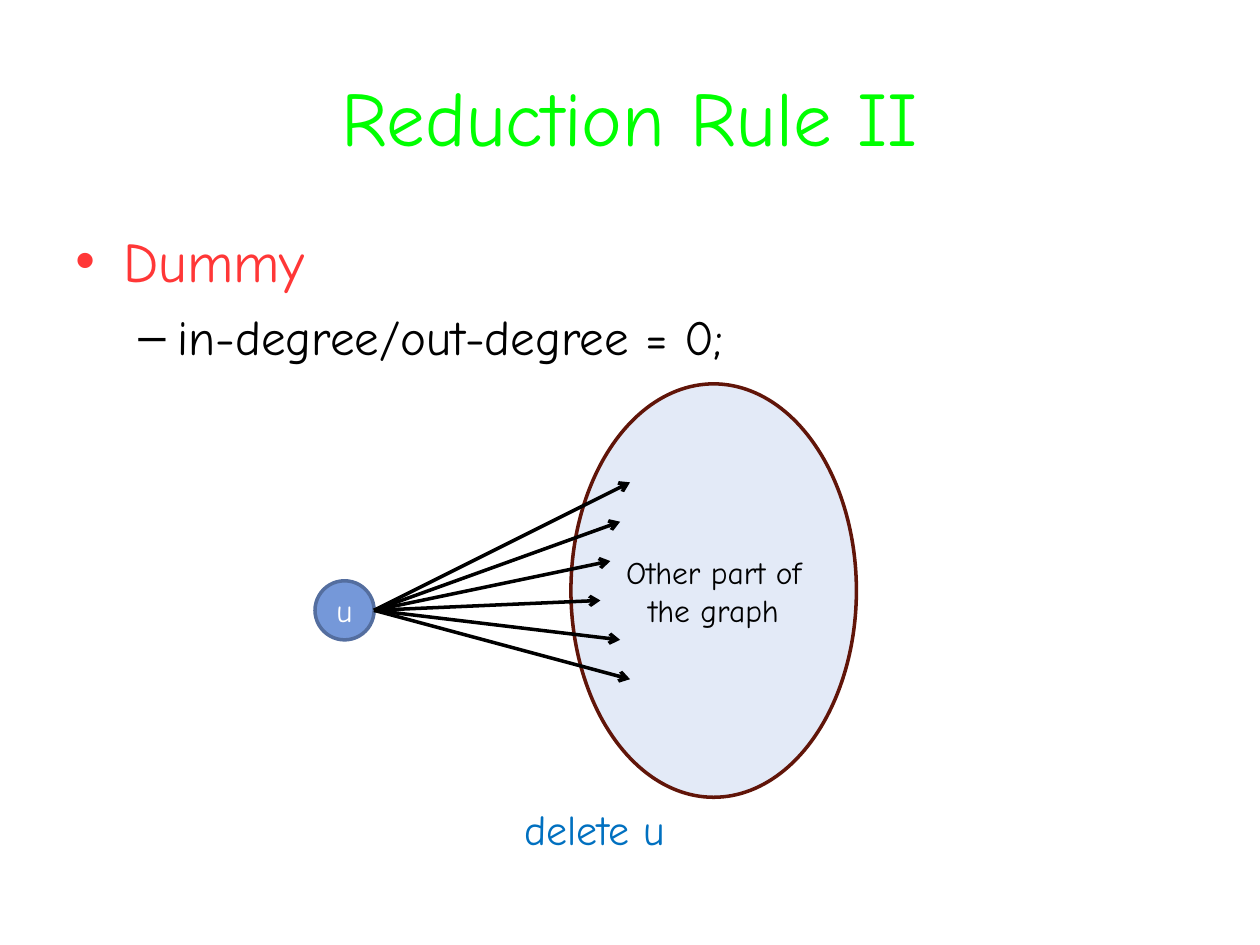
import lxml.etree
import pptx
import pptx.dml.color
import pptx.enum.shapes
import pptx.enum.text
import pptx.oxml.ns
import pptx.util

FONT = "Comic Neue"
CELL = pptx.util.Inches(10) / 128  # the slide is a grid of 128 columns by 96 rows
ALIGN = pptx.enum.text.PP_ALIGN
MIDDLE = pptx.enum.text.MSO_ANCHOR.MIDDLE
OVAL = pptx.enum.shapes.MSO_SHAPE.OVAL


def cells(*counts):
    return [pptx.util.Emu(round(count * CELL)) for count in counts]


def colour(hex_string):
    return pptx.dml.color.RGBColor.from_string(hex_string)


def add_xml(parent, tag, **attributes):
    return lxml.etree.SubElement(parent, pptx.oxml.ns.qn(tag), attributes)


def style(para, size, hex_string, align=ALIGN.LEFT):
    para.alignment = align
    for span in para.runs:
        span.font.name = FONT
        span.font.size = pptx.util.Pt(size)
        span.font.color.rgb = colour(hex_string)


def set_bullet(para, mark, hex_string, margin, hang):
    properties = para._p.get_or_add_pPr()
    properties.set("marL", str(pptx.util.Inches(margin)))
    properties.set("indent", str(-pptx.util.Inches(hang)))
    bullet_colour = add_xml(properties, "a:buClr")
    add_xml(bullet_colour, "a:srgbClr", val=hex_string)
    add_xml(properties, "a:buFont", typeface="Arial")
    add_xml(properties, "a:buChar", char=mark)


def place_title(page, box, text):
    title = page.shapes.title
    title.left, title.top, title.width, title.height = cells(*box)
    title.text_frame.text = text
    title.text_frame.vertical_anchor = MIDDLE
    style(title.text_frame.paragraphs[0], 44, "00FF00", ALIGN.CENTER)


def place_points(page, box):
    frame = page.shapes.add_textbox(*cells(*box)).text_frame
    frame.word_wrap = True
    frame.text = "Dummy\nin-degree/out-degree = 0;"
    heading, detail = frame.paragraphs
    detail.level = 1
    detail.space_before = pptx.util.Pt(7)
    set_bullet(heading, "•", "FF3737", 0.38, 0.38)
    set_bullet(detail, "–", "000000", 0.81, 0.31)
    style(heading, 32, "FF3737")
    style(detail, 28, "000000")


def add_oval(group, box, text, fill, line, text_colour):
    oval = group.shapes.add_shape(OVAL, *cells(*box))
    oval.shadow.inherit = False
    oval.fill.solid()
    oval.fill.fore_color.rgb = colour(fill)
    oval.line.color.rgb = colour(line)
    oval.line.width = pptx.util.Pt(2)
    oval.text_frame.word_wrap = True
    oval.text_frame.vertical_anchor = MIDDLE
    oval.text_frame.text = text
    style(oval.text_frame.paragraphs[0], 18, text_colour, ALIGN.CENTER)


def add_arrow(group, start, end):
    arrow = group.shapes.add_connector(
        pptx.enum.shapes.MSO_CONNECTOR.STRAIGHT, *cells(*start, *end))
    arrow.line.color.rgb = colour("000000")
    arrow.line.width = pptx.util.Pt(2)
    add_xml(arrow.get_or_add_ln(), "a:tailEnd", type="arrow")
    add_xml(arrow._element.spPr, "a:effectLst")


def place_graph(page, box):
    left, top, width, height = box
    group = page.shapes.add_group_shape()
    # The rest of the graph fills the right side of the box
    inset = 26
    add_oval(group, (left + inset, top, width - inset, height),
             "Other part of the graph", "E3EAF7", "611509", "000000")
    # Node u, with its edges fanning out at equal row steps
    node = 6
    node_top = top + 20
    add_oval(group, (left, node_top, node, node),
             "u", "7598D9", "546E9F", "FFFFFF")
    for index, reach in enumerate((32, 31, 30, 29, 31, 32)):
        add_arrow(group, (left + node, node_top + node / 2),
                  (left + reach, top + 10 + 4 * index))


def place_caption(page, box, text):
    frame = page.shapes.add_textbox(*cells(*box)).text_frame
    frame.word_wrap = True
    frame.text = text
    style(frame.paragraphs[0], 24, "0070C0")


def main():
    deck = pptx.Presentation()
    deck.slide_width, deck.slide_height = cells(128, 96)
    page = deck.slides.add_slide(deck.slide_layouts.get_by_name("Title Only"))
    place_title(page, (6.4, 3.8, 115.2, 16), "Reduction Rule II")
    place_points(page, (6.4, 22.4, 115.2, 63.4))
    place_graph(page, (32, 39, 55, 42))
    place_caption(page, (52, 81, 24, 6.4), "delete u")
    deck.save("out.pptx")


if __name__ == "__main__":
    main()
